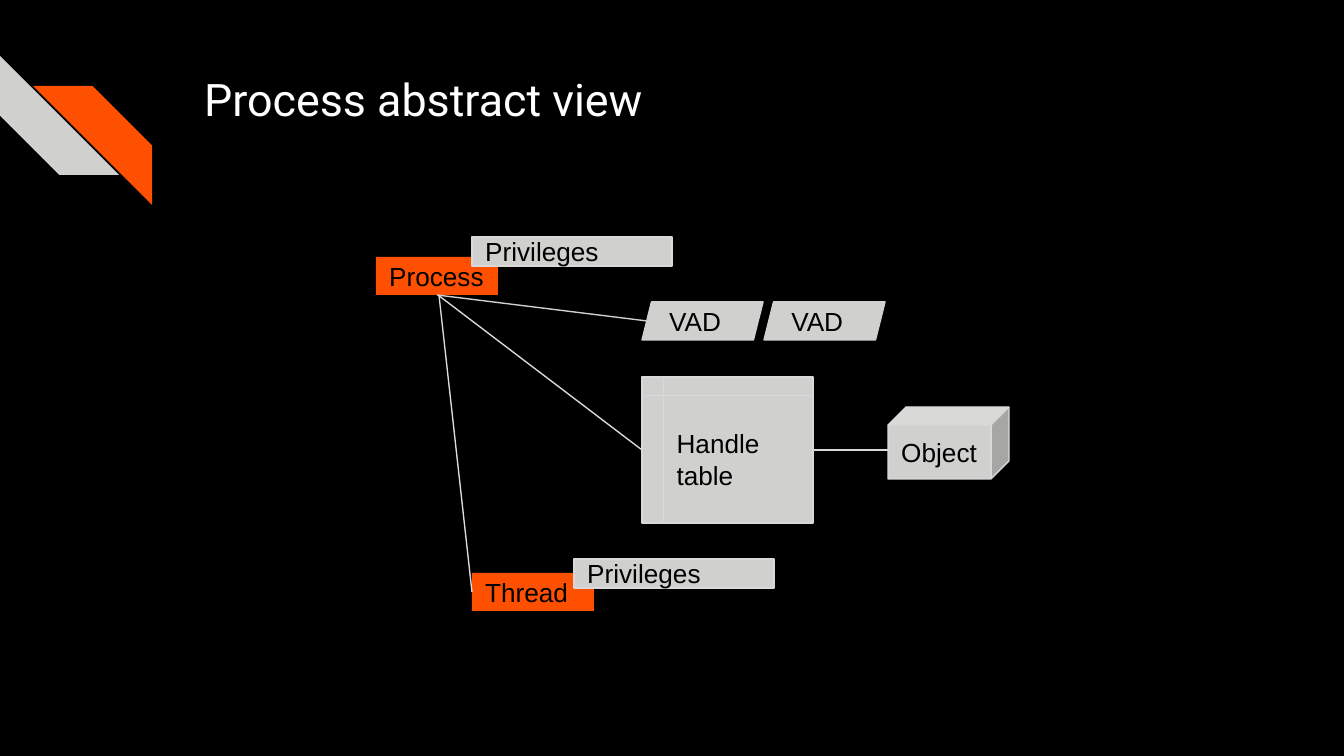
from lxml import etree
from pptx import Presentation
from pptx import util as u
from pptx.dml.color import RGBColor
from pptx.enum import shapes, text
from pptx.oxml.ns import qn

EMU_PER_PX = 914400 / 134.4
BLACK = RGBColor(0x00, 0x00, 0x00)
WHITE = RGBColor(0xFF, 0xFF, 0xFF)
ORANGE = RGBColor(0xFE, 0x50, 0x00)
GREY = RGBColor(0xD0, 0xD0, 0xCE)
PALE = RGBColor(0xD9, 0xD9, 0xD9)
KIND = shapes.MSO_SHAPE


def px(*lengths):
    return [u.Emu(round(length * EMU_PER_PX)) for length in lengths]


def write(holder, wording, font_name, size, color, anchor):
    frame = holder.text_frame
    frame.word_wrap = True
    frame.vertical_anchor = anchor
    frame.margin_left = frame.margin_top = frame.margin_bottom = u.Inches(0.1)
    frame.margin_right = u.Inches(0.05)
    frame.text = wording
    paragraph = frame.paragraphs[0]
    paragraph.alignment = text.PP_ALIGN.LEFT
    paragraph.font.name = font_name
    paragraph.font.size = u.Pt(size)
    paragraph.font.color.rgb = color


def add_title(slide, wording, box):
    title = slide.shapes.add_textbox(*px(*box))
    write(title, wording, "Roboto", 24, WHITE, text.MSO_ANCHOR.TOP)


def add_block(slide, kind, box, fill, outline=None):
    block = slide.shapes.add_shape(kind, *px(*box))
    block.shadow.inherit = False
    block.fill.solid()
    block.fill.fore_color.rgb = fill
    if outline is None:
        block.line.fill.background()
    else:
        block.line.color.rgb = outline
        block.line.width = u.Pt(0.75)
    return block


def add_node(slide, wording, kind, box, fill, outline=None):
    node = add_block(slide, kind, box, fill, outline)
    write(node, wording, "Arial", 14, BLACK, text.MSO_ANCHOR.MIDDLE)


def add_stripe(slide, left, top, fill, rotation):
    stripe = add_block(slide, KIND.DIAGONAL_STRIPE, (left, top, 119, 119), fill)
    stripe.rotation = rotation


def add_link(slide, start, end, color):
    link = slide.shapes.add_connector(
        shapes.MSO_CONNECTOR.STRAIGHT, *px(*start, *end))
    link.line.color.rgb = color
    link.line.width = u.Pt(0.75)
    etree.SubElement(link._element.spPr, qn("a:effectLst"))


def main():
    deck = Presentation()
    deck.slide_width, deck.slide_height = px(1344, 756)
    slide = deck.slides.add_slide(deck.slide_layouts[6])
    slide.background.fill.solid()
    slide.background.fill.fore_color.rgb = BLACK

    add_stripe(slide, 0, 56, GREY, 270)
    add_stripe(slide, 33, 86, ORANGE, 90)
    add_title(slide, "Process abstract view", (191, 58, 1035, 134))

    for wording, left, top in (("Process", 376, 257), ("Thread", 472, 573)):
        add_node(slide, wording, KIND.RECTANGLE, (left, top, 122, 38), ORANGE)
    for left in (642, 764):
        add_node(slide, "VAD", KIND.PARALLELOGRAM, (left, 302, 121, 38),
                 GREY, GREY)
    add_node(slide, "Handle table", KIND.FLOWCHART_INTERNAL_STORAGE,
             (642, 377, 171, 146), GREY, PALE)
    add_node(slide, "Object", KIND.CUBE, (888, 407, 121, 72), GREY, PALE)
    for left, top in ((472, 237), (574, 559)):
        add_node(slide, "Privileges", KIND.RECTANGLE, (left, top, 200, 29),
                 GREY, PALE)

    add_link(slide, (437, 295), (647, 321), GREY)
    add_link(slide, (439, 295), (472, 592), PALE)
    add_link(slide, (438, 295), (642, 450), PALE)
    add_link(slide, (813, 450), (888, 450), PALE)

    deck.save("out.pptx")


if __name__ == "__main__":
    main()
